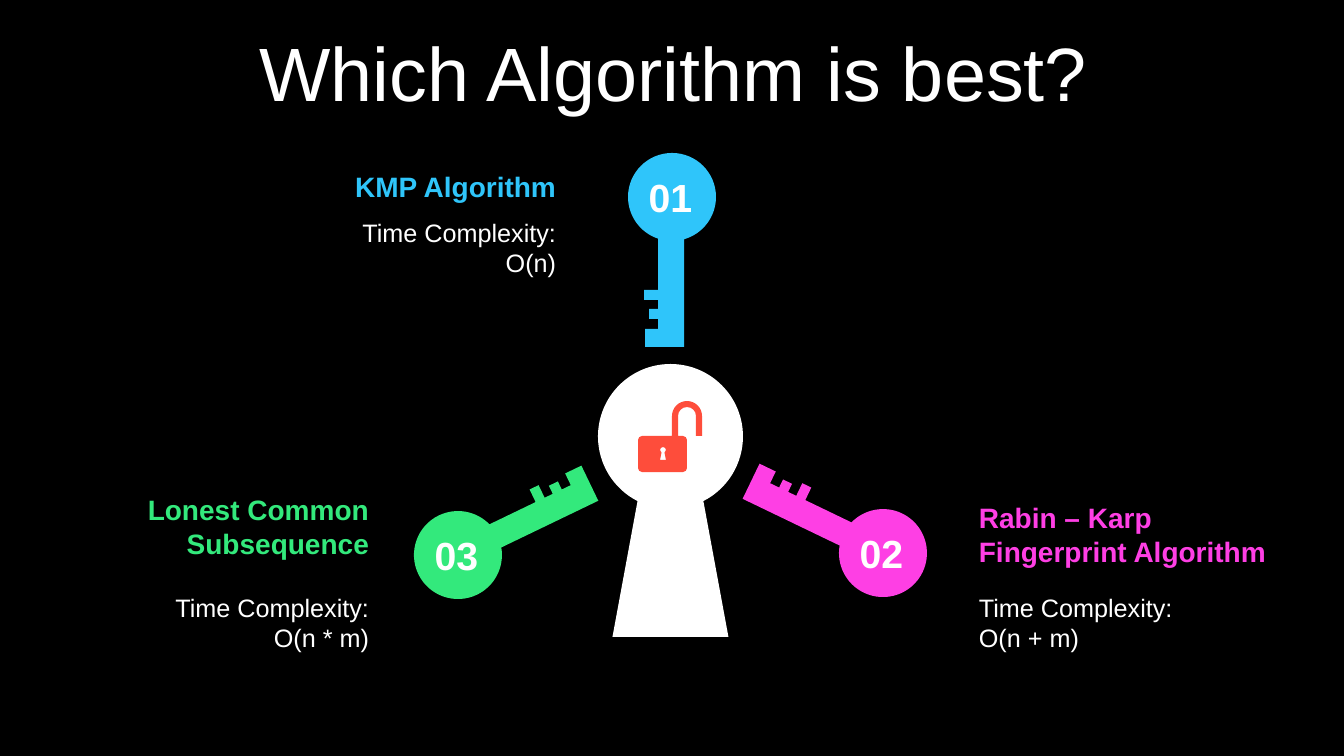
"""Build the slide comparing three string matching algorithms."""
import math
from dataclasses import dataclass

import pptx
import pptx.dml.color
import pptx.enum.text
import pptx.oxml.ns
import pptx.util
from lxml import etree

PX = 914400 / 100.8
ALIGN = pptx.enum.text.PP_ALIGN
ANCHOR = pptx.enum.text.MSO_ANCHOR
FIT = pptx.enum.text.MSO_AUTO_SIZE


@dataclass(frozen=True)
class Theme:
    """Colours, font and type sizes of the slide."""
    font: str = "Arial"
    background: str = "000000"
    light: str = "FFFFFF"
    blue: str = "2FC5FA"
    pink: str = "FE3FE4"
    green: str = "33E97C"
    red: str = "FE4D3B"
    title: int = 54
    number: int = 28
    heading: int = 20
    body: int = 18


THEME = Theme()


def px(length):
    """Turn pixels into EMU."""
    return pptx.util.Emu(round(length * PX))


def rgb(colour):
    """Turn a hex string into a colour."""
    return pptx.dml.color.RGBColor.from_string(colour)


def lines(*points):
    """Return straight segments through points."""
    return [[point] for point in points]


def arc(center, radius, start, end):
    """Return a line to an arc and its curves, in degrees clockwise from the right."""
    low, high = sorted((start, end))
    stops = [low] + [a for a in range(-360, 721, 90) if low < a < high] + [high]
    if start > end:
        stops.reverse()

    def place(angle, pull=0):
        """Return a point on the arc, pulled along its tangent."""
        cos, sin = math.cos(math.radians(angle)), math.sin(math.radians(angle))
        return (center[0] + radius * (cos - pull * sin),
                center[1] + radius * (sin + pull * cos))

    segments = lines(place(start))
    for first, last in zip(stops, stops[1:]):
        pull = 4 / 3 * math.tan(math.radians(last - first) / 4)
        segments.append([place(first, pull), place(last, -pull), place(last)])
    return segments


def draw_outline(page, contours, colour):
    """Draw closed contours of lines and curves as one filled freeform."""
    scaled = [[(px(x), px(y)) for segment in contour for x, y in segment]
              for contour in contours]
    builder = page.shapes.build_freeform(*scaled[0][0], scale=1.0)
    for index, points in enumerate(scaled):
        if index:
            builder.move_to(*points[0])
        builder.add_line_segments(points[1:], close=True)
    shape = builder.convert_to_shape()
    steps = iter(list(shape.element.iter(pptx.oxml.ns.qn("a:lnTo"))))
    for segment in (part for contour in contours for part in contour[1:]):
        parts = [next(steps) for _ in segment]
        if len(parts) == 3:
            curve = etree.Element(pptx.oxml.ns.qn("a:cubicBezTo"))
            parts[0].addprevious(curve)
            for part in parts:
                curve.append(part[0])
                part.getparent().remove(part)
    shape.shadow.inherit = False
    shape.fill.solid()
    shape.fill.fore_color.rgb = rgb(colour)
    shape.line.fill.background()
    return shape


def style_paragraph(para, size, colour, align, bold=False):
    """Set the font and alignment of a paragraph."""
    para.alignment = align
    para.font.name = THEME.font
    para.font.size = pptx.util.Pt(size)
    para.font.bold = bold
    para.font.color.rgb = rgb(colour)


def add_text(page, box, texts, size, colour, align, anchor=ANCHOR.MIDDLE, bold=False):
    """Add a text box with one paragraph for each text."""
    frame = page.shapes.add_textbox(*map(px, box)).text_frame
    frame.word_wrap = True
    frame.auto_size = FIT.SHAPE_TO_FIT_TEXT
    frame.vertical_anchor = anchor
    frame.text = "\n".join(texts)
    for para in frame.paragraphs:
        style_paragraph(para, size, colour, align, bold)


def add_title(page, box, text):
    """Place and format the title placeholder."""
    title = page.shapes.title
    title.left, title.top, title.width, title.height = map(px, box)
    frame = title.text_frame
    frame.text = text
    frame.auto_size = FIT.NONE
    frame.vertical_anchor = ANCHOR.MIDDLE
    para = frame.paragraphs[0]
    para.line_spacing = 0.9
    style_paragraph(para, THEME.title, THEME.light, ALIGN.CENTER)


def add_keyhole(page, box):
    """Draw the keyhole: a disc on a flared foot."""
    left, top, width, height = box
    radius = width / 2
    middle, bottom = left + radius, top + height
    head = arc((middle, top + radius), radius, 117, 423)
    foot = lines((middle + 58, bottom), (middle - 58, bottom))
    draw_outline(page, [head + foot], THEME.light)


def add_padlock(page, box):
    """Draw an open padlock with a small keyhole."""
    left, top, width, height = box
    right, bottom = left + width, top + height
    corner, body_top, body_right = 4, top + 35, left + 49
    bow = (right - 15, top + 15)
    shackle = (arc(bow, 15, 180, 360) + lines((right, body_top), (right - 6, body_top))
               + arc(bow, 9, 360, 180) + lines((right - 24, body_top)))
    corners = [(body_right - corner, body_top + corner, -90),
               (body_right - corner, bottom - corner, 0),
               (left + corner, bottom - corner, 90),
               (left + corner, body_top + corner, 180)]
    body = [segment for x, y, start in corners
            for segment in arc((x, y), corner, start, start + 90)]
    slot_x, slot_y = left + 25, top + 49
    slot = (arc((slot_x, slot_y), 3, 120, 420)
            + lines((slot_x + 3, slot_y + 10), (slot_x - 3, slot_y + 10)))
    draw_outline(page, [shackle + body + lines((right - 30, body_top)), slot], THEME.red)


def add_key(page, head, angle, side, number, colour):
    """Draw a numbered key pointing along an angle, with teeth on one side."""
    radius, back, front, length = 44, -12, 14, 150
    teeth = [(length, 132, 27), (122, 112, 23), (103, 93, 28)]
    blade = [(length, back)]
    for outer, inner, depth in teeth:
        blade += [(outer, front), (outer, depth), (inner, depth), (inner, front)]
    blade.remove((length, front))
    start = math.degrees(math.asin(front / radius))
    end = 360 + math.degrees(math.asin(back / radius))
    x, y = head
    outline = [[(x + along, y + side * across) for along, across in segment]
               for segment in arc((0, 0), radius, start, end) + lines(*blade)]
    key = draw_outline(page, [outline], colour)
    reach, turn = (length - radius) / 2, math.radians(angle)
    key.left += px(reach * (math.cos(turn) - 1))
    key.top += px(reach * math.sin(turn))
    key.rotation = angle
    add_text(page, (x - 39, y - 29, 75, 58), [number], THEME.number,
             THEME.light, ALIGN.CENTER, bold=True)


def add_algorithm(page, heading_box, body_top, heading, complexity, colour, align):
    """Add an algorithm name with its time complexity below."""
    left, _, width, _ = heading_box
    add_text(page, (left, body_top, width, 72), ["Time Complexity:", complexity],
             THEME.body, THEME.light, align, ANCHOR.TOP)
    add_text(page, heading_box, [heading], THEME.heading, colour, align, bold=True)


def build_slide(deck):
    """Compose the whole slide."""
    page = deck.slides.add_slide(deck.slide_layouts[5])
    page.background.fill.solid()
    page.background.fill.fore_color.rgb = rgb(THEME.background)
    add_title(page, (35, 37, 1277, 80), "Which Algorithm is best?")
    add_keyhole(page, (598, 364, 145, 273))
    add_key(page, (672, 197), 90, 1, "01", THEME.blue)
    add_key(page, (883, 553), 205.7, 1, "02", THEME.pink)
    add_key(page, (458, 555), 334.3, -1, "03", THEME.green)
    add_algorithm(page, (969, 495, 313, 78), 587, "Rabin – Karp Fingerprint Algorithm",
                  "O(n + m)", THEME.pink, ALIGN.LEFT)
    add_algorithm(page, (138, 164, 428, 44), 212, "KMP Algorithm", "O(n)",
                  THEME.blue, ALIGN.RIGHT)
    add_algorithm(page, (41, 471, 338, 111), 587, "Lonest Common Subsequence",
                  "O(n * m)", THEME.green, ALIGN.RIGHT)
    add_padlock(page, (638, 401, 64, 71))


def main():
    """Create and save the deck."""
    deck = pptx.Presentation()
    deck.slide_width, deck.slide_height = px(1344), px(756)
    build_slide(deck)
    deck.save("out.pptx")


if __name__ == "__main__":
    main()
